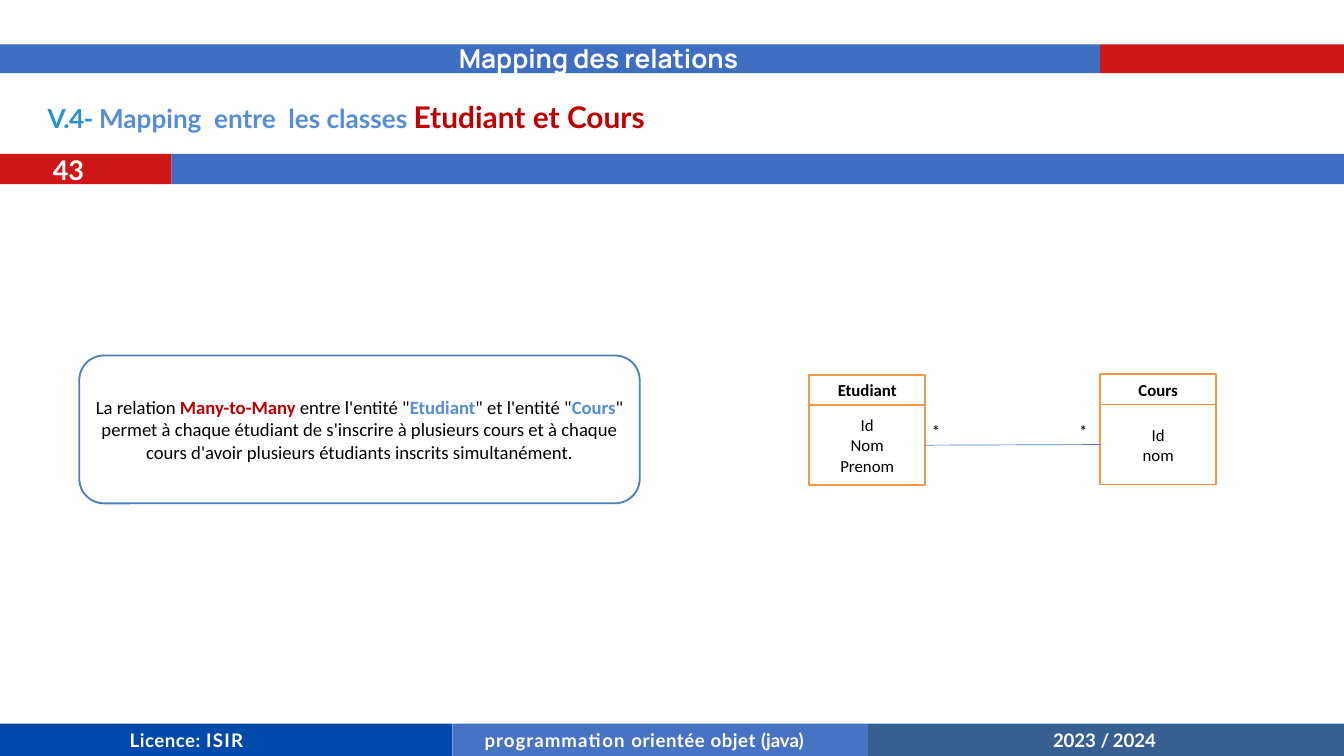
from lxml.etree import SubElement
from pptx import Presentation
from pptx.dml.color import RGBColor as RGB
from pptx.enum.shapes import MSO_CONNECTOR as Link, MSO_SHAPE as Form
from pptx.enum.text import MSO_ANCHOR as Anchor, PP_ALIGN as Align
from pptx.oxml.ns import qn
from pptx.util import Inches, Pt

WHITE = RGB(0xFF, 0xFF, 0xFF)
BLACK = RGB(0x00, 0x00, 0x00)
RED = RGB(0xD0, 0x17, 0x17)
BLUE = RGB(0x3D, 0x6E, 0xC2)
NAVY = RGB(0x00, 0x4A, 0xAC)
MID = RGB(0x46, 0x73, 0xC3)
STEEL = RGB(0x37, 0x60, 0x92)
SKY = RGB(0x2B, 0x91, 0xD5)
SOFT = RGB(0x55, 0x8E, 0xD5)
DARK = RGB(0xC0, 0x00, 0x00)
EDGE = RGB(0x4F, 0x81, 0xBD)
WIRE = RGB(0x4B, 0x7E, 0xBC)
ORANGE = RGB(0xF7, 0x96, 0x46)

COLS, ROWS = 20, 11.25  # square grid cells over the whole slide
SNUG = (0, 0.02, 0, 0)  # left, top, right, bottom insets in cells


def write(para, text, font="Calibri", size=20, color=BLACK, bold=False, gap=0):
    """Add one run of text; gap is the letter spacing in points."""
    run = para.add_run()
    run.text = text
    face = run.font
    face.name, face.size, face.bold = font, Pt(size), bold
    face.color.rgb = color
    if gap:
        run._r.get_or_add_rPr().set("spc", str(round(gap * 100)))


class Board:
    """Style and current slide; all lengths are in grid cells."""

    def __init__(self, deck):
        self.slide = deck.slides.add_slide(deck.slide_layouts[6])
        self.shapes = self.slide.shapes
        self.cell = deck.slide_width / COLS

    def span(self, *cells):
        return [round(c * self.cell) for c in cells]

    def fill(self, frame, paras, align, style):
        """Each paragraph is a list of (text, format changes)."""
        frame.word_wrap = True
        for i, runs in enumerate(paras):
            para = frame.paragraphs[0] if i == 0 else frame.add_paragraph()
            para.alignment = align
            for text, extra in runs:
                write(para, text, **{**style, **extra})

    def box(self, at, color=WHITE, line=None, form=Form.RECTANGLE, paras=(), **style):
        shape = self.shapes.add_shape(form, *self.span(*at))
        shape.shadow.inherit = False
        shape.fill.solid()
        shape.fill.fore_color.rgb = color
        if line:
            shape.line.color.rgb, shape.line.width = line, Pt(2)
        else:
            shape.line.fill.background()
        shape.text_frame.vertical_anchor = Anchor.MIDDLE
        self.fill(shape.text_frame, paras, Align.CENTER, style)
        return shape

    def label(self, at, runs, inset=(0.1, 0.05, 0.1, 0.05), align=Align.LEFT, **style):
        frame = self.shapes.add_textbox(*self.span(*at)).text_frame
        (frame.margin_left, frame.margin_top,
         frame.margin_right, frame.margin_bottom) = self.span(*inset)
        self.fill(frame, [runs], align, style)

    def entity(self, x, y, name, fields):
        """Class box: a name above its fields; returns the lower part."""
        wide, head, body = 1.73, 0.45, 1.19
        self.box((x, y, wide, head), line=ORANGE,
                 paras=[[(name, {})]], size=18, bold=True)
        return self.box((x, y + head, wide, body), line=ORANGE,
                        paras=[[(f, {})] for f in fields], size=18)

    def join(self, left, right):
        line = self.shapes.add_connector(Link.STRAIGHT, 0, 0, 0, 0)
        line.begin_connect(left, 3)
        line.end_connect(right, 1)
        line.line.color.rgb, line.line.width = WIRE, Pt(0.75)
        SubElement(line._element.spPr, qn("a:effectLst"))


def main():
    deck = Presentation()
    deck.slide_width, deck.slide_height = Inches(COLS), Inches(ROWS)
    board = Board(deck)
    light = dict(font="Lato", color=WHITE, bold=True)

    # Header and footer bands
    for top, high, stops in (
        (0.66, 0.43, ((0, BLUE), (16.37, RED))),
        (2.29, 0.45, ((0, RED), (2.55, BLUE))),
        (10.77, 0.48, ((0, NAVY), (6.73, MID), (12.92, STEEL))),
    ):
        ends = [x for x, _ in stops[1:]] + [COLS]
        for (x, color), end in zip(stops, ends):
            board.box((x, top, end - x, high), color)

    # Titles and page number
    board.label((6.73, 0.58, 8.12, 0.57), [("Mapping des relations", {})],
                font="Manrope", size=28, color=WHITE, bold=True)
    board.label((0.71, 1.45, 19.08, 0.55), [
        ("V.4- ", dict(color=SKY, gap=-0.6)),
        ("Mapping  entre  les classes ", dict(color=SOFT)),
        ("Etudiant et Cours", dict(color=DARK, size=32)),
    ], inset=SNUG, font="Lato", size=28, bold=True)
    board.label((0.47, 2.24, 1.1, 0.59), [("43", dict(gap=-0.1))],
                align=Align.CENTER, size=29, **light)

    # Footer texts, with the letter spacing of each run
    for x, y, wide, runs in (
        (1.93, 10.83, 1.85, (("Licence: ", 0.5), ("ISIR", 1.4))),
        (7.21, 10.83, 5.32, (("programmation ", 1.1), ("orientée ", 0.6),
                             ("objet ", 0.5), ("(", -1.1), ("java)", -0.1))),
        (15.67, 10.82, 1.64, (("2023 ", -0.1), ("/ ", -0.9), ("2024", -0.1))),
    ):
        board.label((x, y, wide, 0.36), [(t, dict(gap=g)) for t, g in runs],
                    inset=SNUG, **light)

    # Explanation
    name = dict(color=SOFT, bold=True)
    board.box((1.18, 5.29, 8.34, 2.2), line=EDGE, form=Form.ROUNDED_RECTANGLE, paras=[[
        ("La relation ", {}),
        ("Many-to-Many", dict(color=DARK, bold=True)),
        (" entre l'entité \"", {}),
        ("Etudiant", name),
        ("\" et l'entité \"", {}),
        ("Cours", name),
        ("\" permet à chaque étudiant de s'inscrire à plusieurs cours et à "
         "chaque cours d'avoir plusieurs étudiants inscrits simultanément.", {}),
    ]])

    # Class diagram
    pupil = board.entity(12.04, 5.58, "Etudiant", ["Id", "Nom", "Prenom"])
    course = board.entity(16.37, 5.57, "Cours", ["Id", "nom"])
    board.join(pupil, course)
    for x in (13.77, 15.96):
        board.label((x, 6.21, 0.44, 0.4), [("*", {})], size=18)

    deck.save("out.pptx")


if __name__ == "__main__":
    main()
